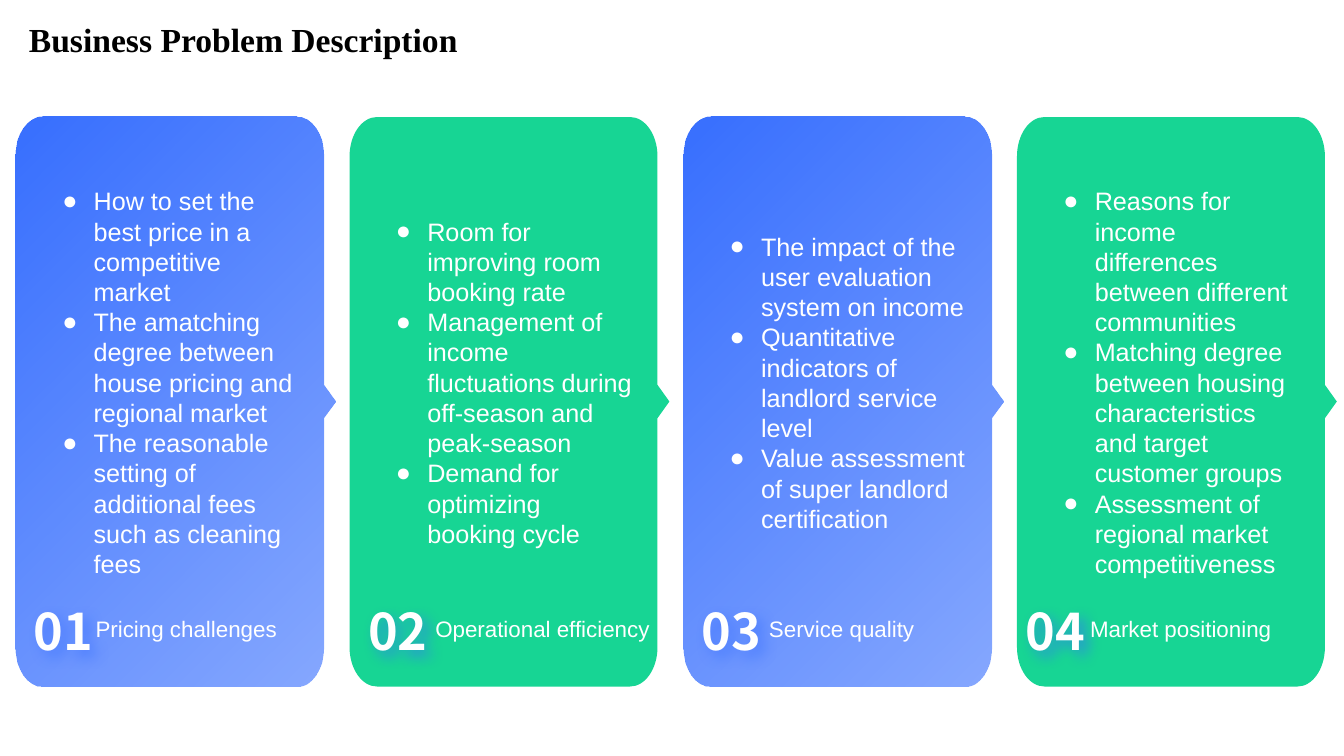
from lxml import etree
from pptx import Presentation
from pptx.dml.color import RGBColor
from pptx.enum.text import MSO_ANCHOR, PP_ALIGN
from pptx.oxml.ns import qn
from pptx.util import Cm, Pt

MIDDLE = MSO_ANCHOR.MIDDLE
CENTER = PP_ALIGN.CENTER
ALIGN_LEFT = PP_ALIGN.LEFT

BLUE = RGBColor(0x37, 0x6F, 0xFF)
GREEN = RGBColor(0x17, 0xD5, 0x94)
WHITE = RGBColor(0xFF, 0xFF, 0xFF)
BLACK = RGBColor(0, 0, 0)

# Panel geometry in centimetres
LEFT, TOP, PITCH = 0.4, 2.95, 8.41
WIDTH, HEIGHT = 7.76, 14.35
CORNER_X, CORNER_Y = 0.69, 0.99
TIP_DEPTH, TIP_HALF, TIP_Y = 0.3, 0.42, 10.12
ROUNDNESS = 0.55

# Label, number offset, label offset, label width, bullets
PANELS = [
    ("Pricing challenges", 0.24, 1.76, 5.49, [
        "How to set the best price in a competitive market",
        "The amatching degree between house pricing and regional market",
        "The reasonable setting of additional fees such as cleaning fees",
    ]),
    ("Operational efficiency", 0.25, 1.91, 6.15, [
        "Room for improving room booking rate",
        "Management of income fluctuations during off-season and peak-season",
        "Demand for optimizing booking cycle",
    ]),
    ("Service quality", 0.25, 1.91, 5.49, [
        "The impact of the user evaluation system on income",
        "Quantitative indicators of landlord service level",
        "Value assessment of super landlord certification",
    ]),
    ("Market positioning", 0, 1.59, 5.49, [
        "Reasons for income differences between different communities",
        "Matching degree between housing characteristics and target customer groups",
        "Assessment of regional market competitiveness",
    ]),
]


def add_span(para, text, size, color, font="Arial", bold=False):
    span = para.add_run()
    span.text = text
    span.font.size = Pt(size)
    span.font.name = font
    span.font.bold = bold
    span.font.color.rgb = color


def add_label(page, text, left, top, width, height, size, color=WHITE, **style):
    box = page.shapes.add_textbox(Cm(left), Cm(top), Cm(width), Cm(height))
    box.text_frame.word_wrap = True
    add_span(box.text_frame.paragraphs[0], text, size, color, **style)
    return box


def set_insets(frame, left, top, right, bottom):
    frame.margin_left, frame.margin_top = Cm(left), Cm(top)
    frame.margin_right, frame.margin_bottom = Cm(right), Cm(bottom)


def add_bullet(para):
    properties = para._p.get_or_add_pPr()
    properties.set("marL", str(Cm(0.79)))
    properties.set("indent", str(Cm(-0.79)))
    etree.SubElement(properties, qn("a:buFont"), typeface="Arial")
    etree.SubElement(properties, qn("a:buChar"), char="●")


def add_soft_shadow(box):
    effects = etree.SubElement(box._element.spPr, qn("a:effectLst"))
    shadow = etree.SubElement(effects, qn("a:outerShdw"), blurRad=str(Cm(0.35)),
                              dist=str(Cm(0.2)), dir="2700000", algn="tl")
    color = etree.SubElement(shadow, qn("a:srgbClr"), val=str(BLUE))
    etree.SubElement(color, qn("a:alpha"), val="60000")


def panel_outline(left):
    """Return the points of a panel with cut corners and an arrow tip at its right."""
    right, bottom = left + WIDTH, TOP + HEIGHT
    near_x, far_x = left + CORNER_X, right - CORNER_X
    near_y, far_y = TOP + CORNER_Y, bottom - CORNER_Y
    points = [
        (near_x, TOP), (far_x, TOP), (right, near_y),
        (right, TIP_Y - TIP_HALF), (right + TIP_DEPTH, TIP_Y), (right, TIP_Y + TIP_HALF),
        (right, far_y), (far_x, bottom), (near_x, bottom),
        (left, far_y), (left, near_y), (near_x, TOP),
    ]
    return [(Cm(x), Cm(y)) for x, y in points]


def round_corners(panel):
    """Turn the cut corners of the outline into curves."""
    segments = list(panel._element.spPr.find(".//" + qn("a:path")))
    ends = [(int(point.get("x")), int(point.get("y")))
            for point in panel._element.spPr.iter(qn("a:pt"))]
    for index in (2, 7, 9, 11):
        start, end = ends[index - 1], ends[index]
        corner = (end[0], start[1]) if index in (2, 9) else (start[0], end[1])
        segment = segments[index]
        segment.tag = qn("a:cubicBezTo")
        for position, anchor in enumerate((start, end)):
            x, y = [round(a + ROUNDNESS * (c - a)) for a, c in zip(anchor, corner)]
            control = etree.Element(qn("a:pt"), x=str(x), y=str(y))
            segment.insert(position, control)


def fill_with_fading_blue(shape):
    shape.fill.gradient()
    shape.fill.gradient_angle = 315
    for stop, position in zip(shape.fill.gradient_stops, (0, 1)):
        stop.position = position
        stop.color.rgb = BLUE
    last_color = shape._element.spPr.findall(".//" + qn("a:srgbClr"))[-1]
    etree.SubElement(last_color, qn("a:alpha"), val="60000")


def add_panel(page, left, is_blue, bullets):
    start, *others = panel_outline(left)
    builder = page.shapes.build_freeform(*start)
    builder.add_line_segments(others, close=True)
    panel = builder.convert_to_shape()
    round_corners(panel)
    panel.shadow.inherit = False
    panel.line.fill.background()
    if is_blue:
        fill_with_fading_blue(panel)
    else:
        panel.fill.solid()
        panel.fill.fore_color.rgb = GREEN
    frame = panel.text_frame
    frame.word_wrap = True
    frame.vertical_anchor = MIDDLE
    set_insets(frame, 1.17, 1.3, 0.91, 2.29)
    for index, text in enumerate(bullets):
        para = frame.add_paragraph() if index else frame.paragraphs[0]
        para.alignment = ALIGN_LEFT
        add_bullet(para)
        add_span(para, text, 18, WHITE)


def add_number(page, text, left):
    box = add_label(page, text, left, 14.99, 1.93, 1.8, 36,
                    font="Noto Sans CJK SC", bold=True)
    frame = box.text_frame
    frame.word_wrap = False
    frame.vertical_anchor = MIDDLE
    set_insets(frame, 0, 0, 0, 0)
    frame.paragraphs[0].alignment = CENTER
    add_soft_shadow(box)


def main():
    deck = Presentation()
    deck.slide_width, deck.slide_height = Cm(33.87), Cm(19.05)
    page = deck.slides.add_slide(deck.slide_layouts[6])
    for index, (label, number_gap, label_gap, width, bullets) in enumerate(PANELS):
        left = LEFT + index * PITCH
        add_panel(page, left, index % 2 == 0, bullets)
        add_number(page, f"{index + 1:02}", left + number_gap)
        add_label(page, label, left + label_gap, 15.37, width, 0.94, 16)
    add_label(page, "Business Problem Description", 0.48, 0.36, 11.5, 1.28, 24,
              BLACK, font="Times New Roman", bold=True)
    deck.save("out.pptx")


if __name__ == "__main__":
    main()
